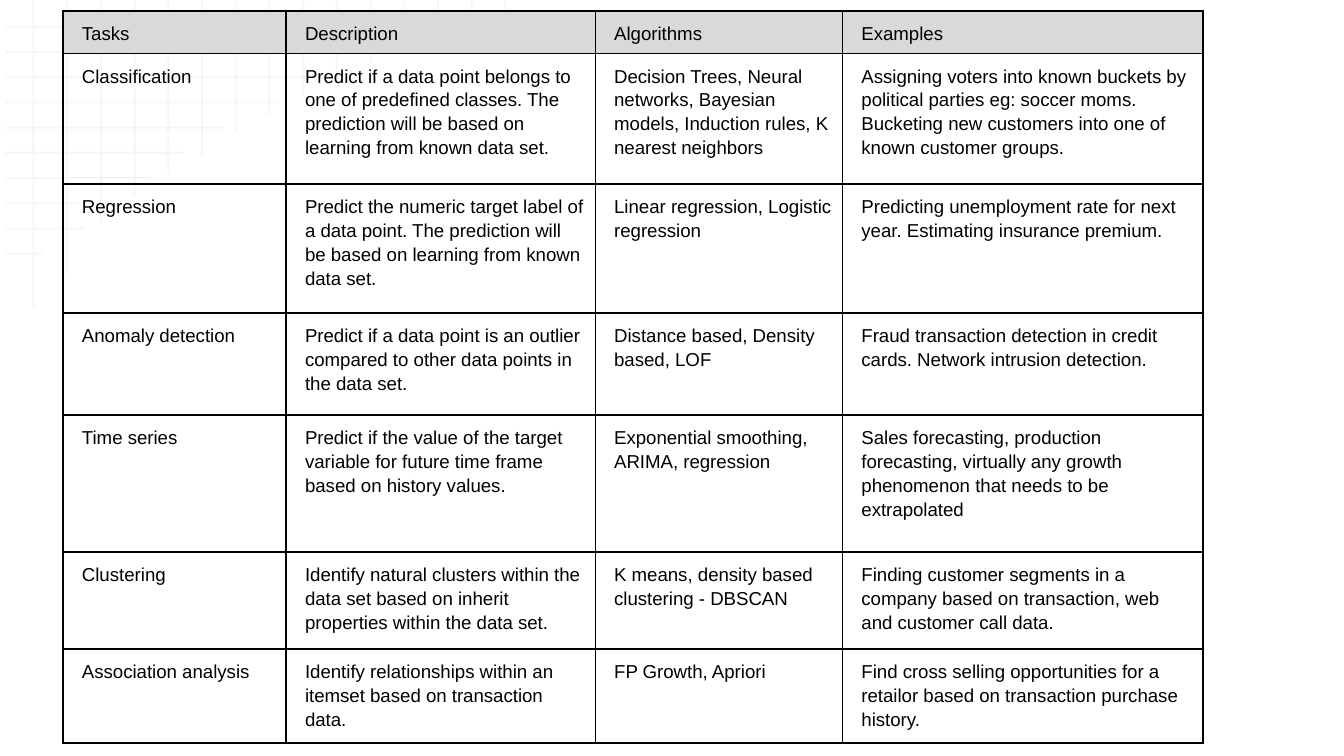
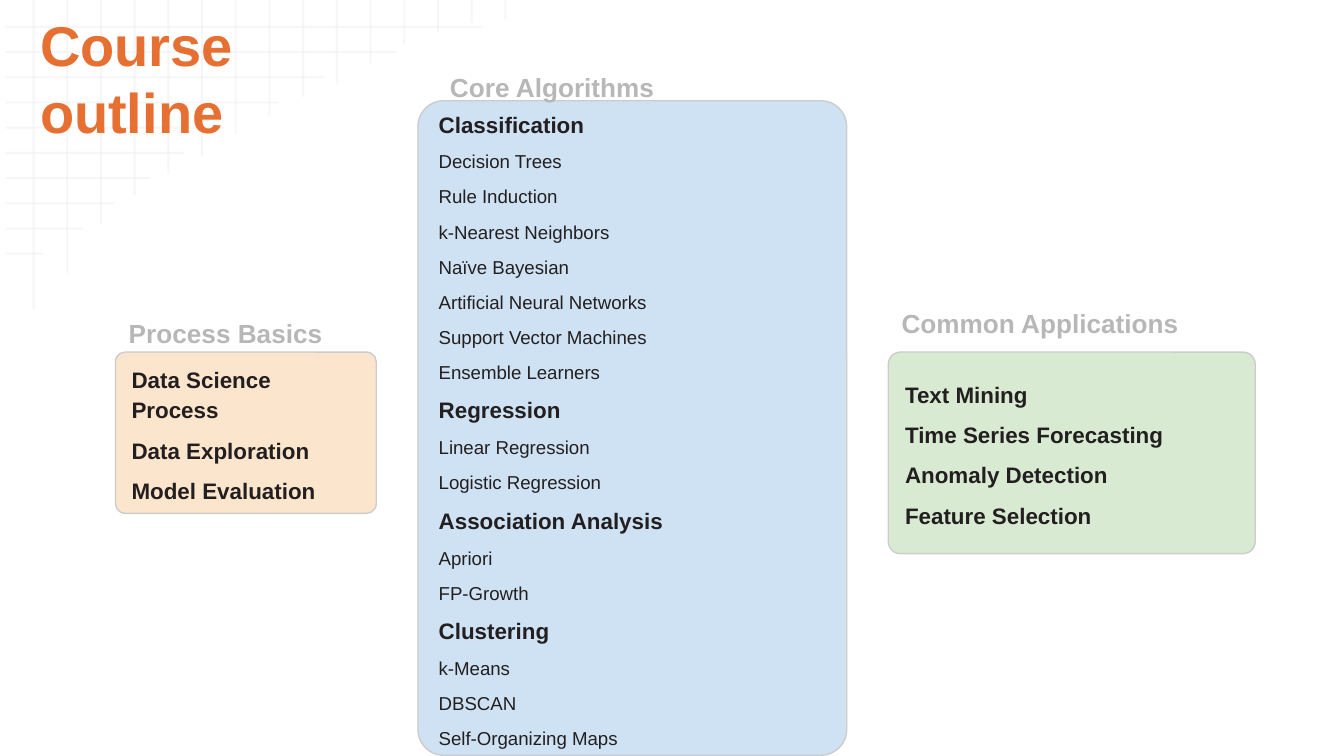
"""Build two slides: a table of data science tasks and a course outline."""
import pptx
import pptx.dml.color
import pptx.enum.shapes
import pptx.enum.text
import pptx.oxml
import pptx.oxml.ns
import pptx.util

RGBColor = pptx.dml.color.RGBColor
PX = 9144
SLIDE_WIDTH = 1000
FONT = "Arial"
BLACK = RGBColor(0x00, 0x00, 0x00)
INK = RGBColor(0x23, 0x1F, 0x20)
ORANGE = RGBColor(0xE6, 0x70, 0x32)
LABEL_GREY = RGBColor(0xB7, 0xB7, 0xB7)
HEADER_GREY = RGBColor(0xD9, 0xD9, 0xD9)
BORDER_GREY = RGBColor(0xCC, 0xCC, 0xCC)
GRID_GREY = RGBColor(0xEF, 0xEF, 0xEF)
PEACH = RGBColor(0xFC, 0xE5, 0xCD)
BLUE = RGBColor(0xCF, 0xE2, 0xF3)
GREEN = RGBColor(0xD9, 0xEA, 0xD3)
LEFT = pptx.enum.text.PP_ALIGN.LEFT
JUSTIFY = pptx.enum.text.PP_ALIGN.JUSTIFY

GRID_ROW_ENDS = [359, 295, 241, 207, 167, 137, 112, 85, 62, 32]
GRID_COLUMN_ENDS = [230, 203, 166, 145, 129, 116, 99, 86, 72, 62, 48, 33, 24, 17, 14]

TABLE_LEFT, TABLE_TOP = 47, 8
COLUMN_WIDTHS = [166, 230, 184, 268]
ROW_HEIGHTS = [32, 97, 96, 76, 102, 72, 70]
TASKS = [
    ("Tasks", "Description", "Algorithms", "Examples"),
    ("Classification",
     "Predict if a data point belongs to one of predefined classes. "
     "The prediction will be based on learning from known data set.",
     "Decision Trees, Neural networks, Bayesian models, Induction rules, K nearest neighbors",
     "Assigning voters into known buckets by political parties eg: soccer moms. "
     "Bucketing new customers into one of known customer groups."),
    ("Regression",
     "Predict the numeric target label of a data point. "
     "The prediction will be based on learning from known data set.",
     "Linear regression, Logistic regression",
     "Predicting unemployment rate for next year. Estimating insurance premium."),
    ("Anomaly detection",
     "Predict if a data point is an outlier compared to other data points in the data set.",
     "Distance based, Density based, LOF",
     "Fraud transaction detection in credit cards. Network intrusion detection."),
    ("Time series",
     "Predict if the value of the target variable for future time frame based on history values.",
     "Exponential smoothing, ARIMA, regression",
     "Sales forecasting, production forecasting, virtually any growth phenomenon "
     "that needs to be extrapolated"),
    ("Clustering",
     "Identify natural clusters within the data set based on inherit properties "
     "within the data set.",
     "K means, density based clustering - DBSCAN",
     "Finding customer segments in a company based on transaction, web and customer call data."),
    ("Association analysis",
     "Identify relationships within an itemset based on transaction data.",
     "FP Growth, Apriori",
     "Find cross selling opportunities for a retailor based on transaction purchase history."),
]

TITLE = ["Course", "outline"]
TITLE_AREA = (20, 25, 900, 65)
PANELS = [
    {"label": "Process Basics", "label_area": (86, 217, 194, 38),
     "area": (86, 262, 194, 120), "fill": PEACH,
     "topics": [("Data Science Process", []), ("Data Exploration", []),
                ("Model Evaluation", [])]},
    {"label": "Core Algorithms", "label_area": (325, 38, 194, 30),
     "area": (311, 75, 319, 487), "fill": BLUE,
     "topics": [
         ("Classification", ["Decision Trees", "Rule Induction", "k-Nearest Neighbors",
                             "Naïve Bayesian", "Artificial Neural Networks",
                             "Support Vector Machines", "Ensemble Learners"]),
         ("Regression", ["Linear Regression", "Logistic Regression"]),
         ("Association Analysis", ["Apriori", "FP-Growth"]),
         ("Clustering", ["k-Means", "DBSCAN", "Self-Organizing Maps"])]},
    {"label": "Common Applications", "label_area": (661, 210, 260, 38),
     "area": (661, 262, 273, 150), "fill": GREEN,
     "topics": [("Text Mining", []), ("Time Series Forecasting", []),
                ("Anomaly Detection", []), ("Feature Selection", [])]},
]


def px(*lengths):
    return [pptx.util.Emu(round(length * PX)) for length in lengths]


def style_paragraph(para, size, color, bold=False, spacing=None, before=0, after=0, align=LEFT):
    para.alignment = align
    para.line_spacing = spacing
    para.space_before = pptx.util.Pt(before)
    para.space_after = pptx.util.Pt(after)
    for span in para.runs:
        span.font.name = FONT
        span.font.size = pptx.util.Pt(size)
        span.font.bold = bold
        span.font.color.rgb = color


def fill_frame(box, lines):
    frame = box.text_frame
    frame.word_wrap = True
    frame.vertical_anchor = pptx.enum.text.MSO_ANCHOR.MIDDLE
    frame.margin_left, frame.margin_top, frame.margin_right, frame.margin_bottom = px(10, 10, 10, 10)
    frame.text = "\n".join(text for text, style in lines)
    for para, (text, style) in zip(frame.paragraphs, lines):
        style_paragraph(para, **style)


def add_text(page, area, lines):
    fill_frame(page.shapes.add_textbox(*px(*area)), lines)


def add_master_grid(master, page):
    rows = [(4, 20 + 18.75 * i, end, 20 + 18.75 * i) for i, end in enumerate(GRID_ROW_ENDS)]
    columns = [(25 + 25.07 * i, end, 25 + 25.07 * i, 0) for i, end in enumerate(GRID_COLUMN_ENDS)]
    for number, ends in enumerate(rows + columns, start=100):
        line = page.shapes.add_connector(pptx.enum.shapes.MSO_CONNECTOR.STRAIGHT, *px(*ends))
        line.line.width = pptx.util.Pt(1)
        line.line.color.rgb = GRID_GREY
        color = line.element.find(".//" + pptx.oxml.ns.qn("a:srgbClr"))
        color.append(pptx.oxml.parse_xml(f'<a:alpha {pptx.oxml.ns.nsdecls("a")} val="54000"/>'))
        line.element.spPr.append(
            pptx.oxml.parse_xml(f'<a:effectLst {pptx.oxml.ns.nsdecls("a")}/>'))
        line.element.nvCxnSpPr.cNvPr.set("id", str(number))
        master.shapes.element.append(line.element)


def add_borders(cell):
    properties = cell._tc.get_or_add_tcPr()
    for side in ("lnL", "lnR", "lnT", "lnB"):
        properties.append(pptx.oxml.parse_xml(
            f'<a:{side} {pptx.oxml.ns.nsdecls("a")} w="{pptx.util.Pt(1)}">'
            f'<a:solidFill><a:srgbClr val="{BLACK}"/></a:solidFill></a:{side}>'))


def add_task_table(page):
    area = px(TABLE_LEFT, TABLE_TOP, sum(COLUMN_WIDTHS), sum(ROW_HEIGHTS))
    table = page.shapes.add_table(len(TASKS), len(COLUMN_WIDTHS), *area).table
    table.first_row = table.horz_banding = False
    for column, width in zip(table.columns, px(*COLUMN_WIDTHS)):
        column.width = width
    for row, height, texts in zip(table.rows, px(*ROW_HEIGHTS), TASKS):
        row.height = height
        for cell, text in zip(row.cells, texts):
            cell.text = text
            cell.margin_left, cell.margin_top, cell.margin_right, cell.margin_bottom = px(7, 7, 7, 7)
            para = cell.text_frame.paragraphs[0]
            style_paragraph(para, 10, BLACK, spacing=1.15)
            para._p.get_or_add_pPr().set("marL", str(7 * PX))
            add_borders(cell)
            if texts is TASKS[0]:
                cell.fill.solid()
                cell.fill.fore_color.rgb = HEADER_GREY
            else:
                cell.fill.background()


def panel_lines(topics):
    lines = []
    for heading, items in topics:
        lines.append((heading, dict(size=12, bold=True)))
        lines += [(item, dict(size=10, align=JUSTIFY)) for item in items]
    for index, (text, style) in enumerate(lines):
        style.update(color=INK, spacing=1.15, before=5 if index else 0,
                     after=5 if index == len(lines) - 1 else 0)
    return lines


def add_panel(page, panel):
    box = page.shapes.add_shape(
        pptx.enum.shapes.MSO_SHAPE.ROUNDED_RECTANGLE, *px(*panel["area"]))
    box.adjustments[0] = 0.06
    box.shadow.inherit = False
    box.fill.solid()
    box.fill.fore_color.rgb = panel["fill"]
    box.line.color.rgb = BORDER_GREY
    box.line.width = pptx.util.Pt(0.75)
    fill_frame(box, panel_lines(panel["topics"]))


def main():
    deck = pptx.Presentation()
    deck.slide_width, deck.slide_height = px(SLIDE_WIDTH, SLIDE_WIDTH * 9 / 16)
    tasks_page, outline_page = [deck.slides.add_slide(deck.slide_layouts[6]) for _ in range(2)]
    add_master_grid(deck.slide_master, tasks_page)
    add_task_table(tasks_page)

    title_style = dict(size=30, color=ORANGE, bold=True)
    add_text(outline_page, TITLE_AREA, [(line, title_style) for line in TITLE])
    for panel in PANELS:
        add_panel(outline_page, panel)
    label_style = dict(size=14, color=LABEL_GREY, bold=True, spacing=2.0, before=6.4)
    for panel in PANELS:
        add_text(outline_page, panel["label_area"], [(panel["label"], label_style)])
    deck.save("out.pptx")


if __name__ == "__main__":
    main()
